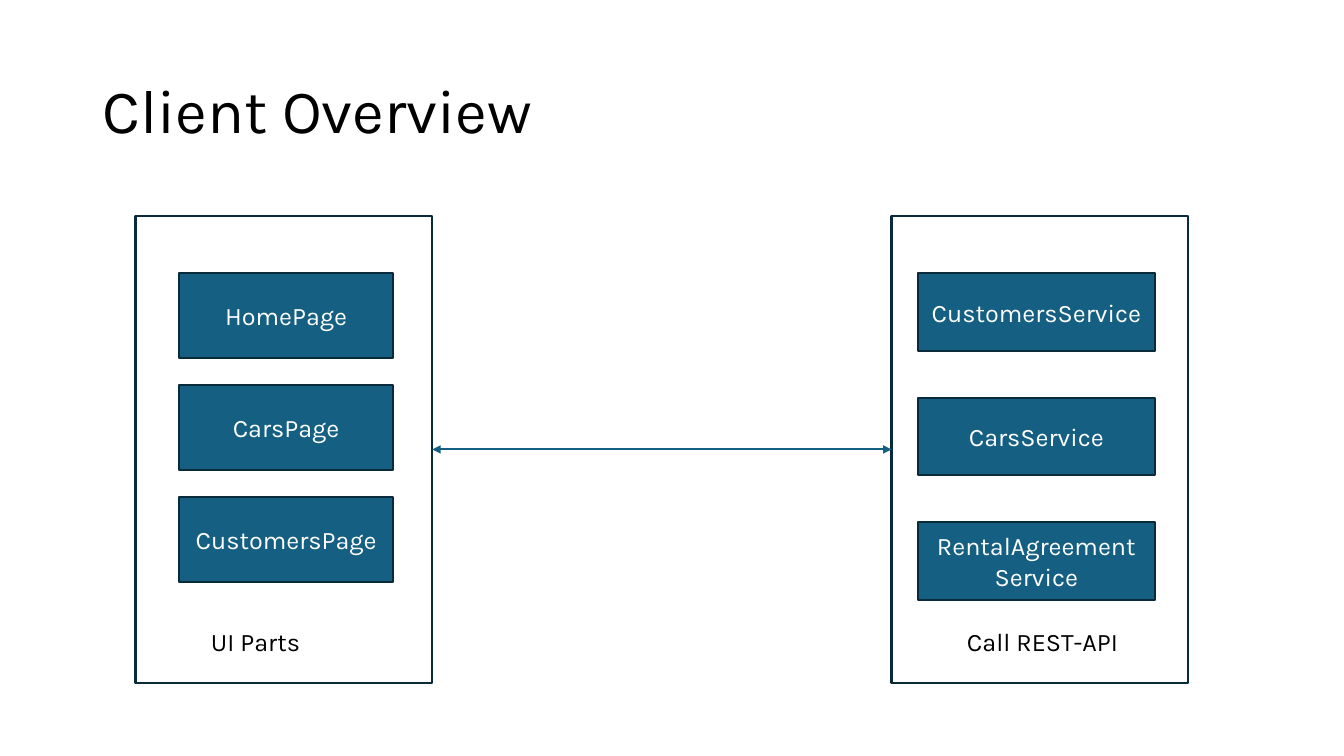
import pptx
import pptx.util
import pptx.dml.color
import pptx.enum.shapes
import pptx.enum.text
import pptx.oxml

Pt = pptx.util.Pt
ANCHOR = pptx.enum.text.MSO_ANCHOR
ALIGN = pptx.enum.text.PP_ALIGN
RECT = pptx.enum.shapes.MSO_SHAPE.RECTANGLE
NS = 'xmlns:a="http://schemas.openxmlformats.org/drawingml/2006/main"'
COLORS = {"fill": "156082", "edge": "092A39", "ink": "000000", "light": "FFFFFF"}


def color(name):
    return pptx.dml.color.RGBColor.from_string(COLORS[name])


def write(shape, text, size, ink, align, anchor):
    frame = shape.text_frame
    frame.word_wrap = True
    frame.vertical_anchor = anchor
    frame.text = text
    for para in frame.paragraphs:
        para.alignment = align
        for run in para.runs:
            run.font.name = "Karla"
            run.font.size = Pt(size)
            run.font.color.rgb = color(ink)


def label(slide, box, text, size=18, anchor=ANCHOR.TOP):
    shape = slide.shapes.add_textbox(*map(Pt, box))
    write(shape, text, size, "ink", ALIGN.LEFT, anchor)
    return shape


def block(slide, box, fill=None):
    shape = slide.shapes.add_shape(RECT, *map(Pt, box))
    shape.shadow.inherit = False
    if fill:
        shape.fill.solid()
        shape.fill.fore_color.rgb = color(fill)
    else:
        shape.fill.background()
    shape.line.color.rgb = color("edge")
    shape.line.width = Pt(1.5)
    return shape


def title(slide, box, text):
    shape = label(slide, box, text, 44, ANCHOR.MIDDLE)
    shape.text_frame.paragraphs[0].line_spacing = 0.9


def panel(slide, box, names, caption, inset, size, pitch):
    left, top, width, height = box
    frame = block(slide, box)
    for row, name in enumerate(names):
        part = block(slide, (left + inset, top + 41 + row * pitch, *size), "fill")
        write(part, name, 18, "light", ALIGN.CENTER, ANCHOR.MIDDLE)
    label(slide, (left + 46.8, top + height - 44, 142, 29), caption)
    return frame


def link(slide, start, end):
    kind = pptx.enum.shapes.MSO_CONNECTOR.STRAIGHT
    line = slide.shapes.add_connector(kind, 0, 0, 0, 0)
    line.begin_connect(start, 3)
    line.end_connect(end, 1)
    line.line.color.rgb = color("fill")
    line.line.width = Pt(1.5)
    stroke = line.line._get_or_add_ln()
    for tag in ("headEnd", "tailEnd"):
        stroke.append(pptx.oxml.parse_xml(f'<a:{tag} {NS} type="triangle"/>'))
    line._element.spPr.append(pptx.oxml.parse_xml(f"<a:effectLst {NS}/>"))


def main():
    deck = pptx.Presentation()
    deck.slide_width, deck.slide_height = Pt(960), Pt(540)
    slide = deck.slides.add_slide(deck.slide_layouts[6])
    title(slide, (66, 28.75, 828, 104.4), "Client Overview")
    pages = panel(slide, (96.8, 154.2, 212, 333.6),
                  ["HomePage", "CarsPage", "CustomersPage"],
                  "UI Parts", 31.2, (152.8, 60.8), 80)
    calls = panel(slide, (636.8, 154.2, 212, 333.6),
                  ["CustomersService", "CarsService", "RentalAgreement\nService"],
                  "Call REST-API", 19, (169, 55.4), 88.9)
    link(slide, pages, calls)
    deck.save("out.pptx")


if __name__ == "__main__":
    main()
